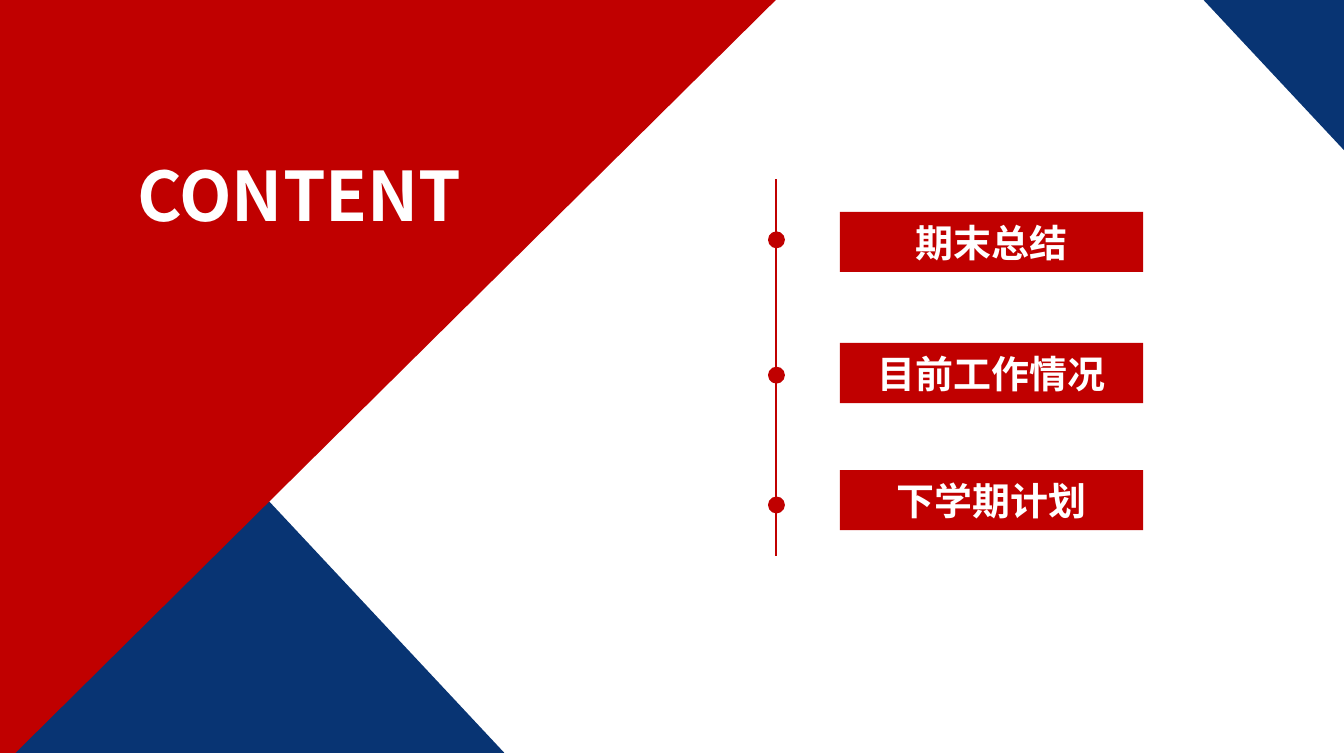
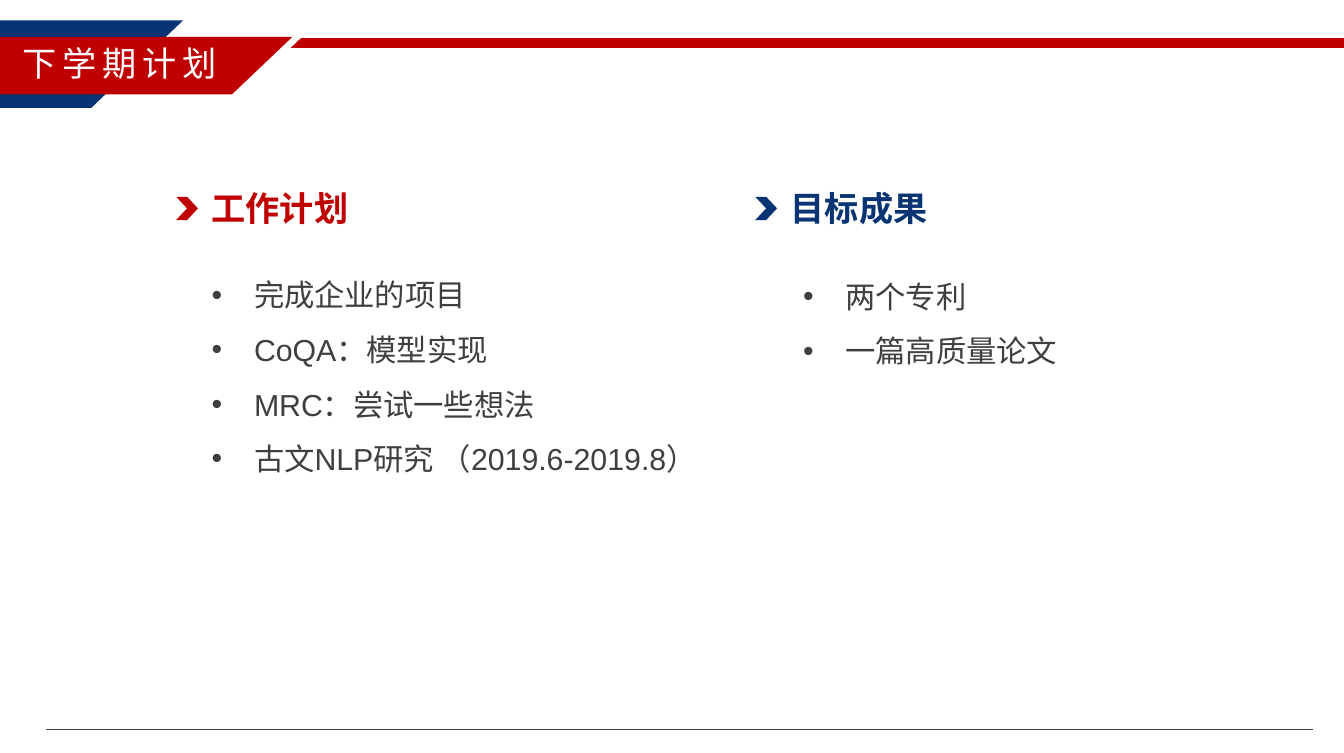
"""Build the contents slide and the next-term plan slide."""
from lxml import etree
from pptx import Presentation
from pptx.dml.color import RGBColor
from pptx.enum import shapes, text
from pptx.oxml import ns
from pptx.util import Inches, Pt

RED = RGBColor(0xC0, 0x00, 0x00)
NAVY = RGBColor(0x08, 0x34, 0x73)
WHITE = RGBColor(0xFF, 0xFF, 0xFF)
GRAY = RGBColor(0x3F, 0x40, 0x3E)
CJK_FONT = "Noto Sans CJK SC"
PLAN = "下学期计划"


def add_filled(slide, kind, box, color, rotation=0):
    shape = slide.shapes.add_shape(kind, *[Inches(value) for value in box])
    shape.shadow.inherit = False
    shape.fill.solid()
    shape.fill.fore_color.rgb = color
    shape.line.fill.background()
    shape.rotation = rotation
    return shape


def write(shape, lines, size, color, bold=False, font=CJK_FONT, align=text.PP_ALIGN.LEFT,
          anchor=text.MSO_ANCHOR.TOP, box=None):
    if box:
        shape.left, shape.top, shape.width, shape.height = [Inches(value) for value in box]
    frame = shape.text_frame
    frame.word_wrap = True
    frame.auto_size = text.MSO_AUTO_SIZE.NONE
    frame.vertical_anchor = anchor
    for index, line in enumerate(lines):
        paragraph = frame.add_paragraph() if index else frame.paragraphs[0]
        paragraph.alignment = align
        paragraph.space_before = Pt(0)
        run = paragraph.add_run()
        run.text = line
        run.font.size = Pt(size)
        run.font.bold = bold
        run.font.color.rgb = color
        run.font.name = font
        east_asian = etree.SubElement(run.font._element, ns.qn("a:ea"))
        east_asian.set("typeface", CJK_FONT)
    return frame


presentation = Presentation()
presentation.slide_width = Inches(9.84)
presentation.slide_height = Inches(5.51)
contents = presentation.slides.add_slide(presentation.slide_layouts[5])
plan = presentation.slides.add_slide(presentation.slide_layouts[4])

for slide, start, end, color, width in [
    (contents, (5.68, 1.31), (5.68, 4.07), RED, 1),
    (plan, (0.34, 5.34), (9.61, 5.34), GRAY, 0.5),
]:
    line = slide.shapes.add_connector(
        shapes.MSO_CONNECTOR.STRAIGHT, *[Inches(value) for value in start + end])
    line.line.color.rgb = color
    line.line.width = Pt(width)
    etree.SubElement(line.element.spPr, ns.qn("a:effectLst"))

for left, top, rotation, color in [
    (-3.62, 3.68, 226.9, NAVY),
    (-3.63, -1.63, 315.3, RED),
    (7.51, -3.25, 226.9, NAVY),
]:
    add_filled(contents, shapes.MSO_SHAPE.RECTANGLE, (left, top, 8.88, 5.36), color, rotation)

for label, bar_top, dot_top in [
    ("期末总结", 1.55, 1.7),
    ("目前工作情况", 2.51, 2.69),
    (PLAN, 3.44, 3.64),
]:
    dot = add_filled(contents, shapes.MSO_SHAPE.OVAL, (5.63, dot_top, 0.11, 0.11), RED)
    dot.line.color.rgb = RED
    dot.line.width = Pt(1)
    bar = add_filled(contents, shapes.MSO_SHAPE.RECTANGLE, (6.15, bar_top, 2.22, 0.44), RED)
    write(bar, [label], 20, WHITE, True, align=text.PP_ALIGN.CENTER,
          anchor=text.MSO_ANCHOR.MIDDLE)

for box, color in [
    ((-0.81, 0.15, 2.15, 0.64), NAVY),
    ((-0.81, 0.27, 2.95, 0.42), RED),
    ((2.13, 0.28, 8.17, 0.07), RED),
]:
    band = add_filled(plan, shapes.MSO_SHAPE.PARALLELOGRAM, box, color)
    band.adjustments[0] = 1.05

write(contents.shapes.title, ["CONTENT"], 36, WHITE, True, align=text.PP_ALIGN.RIGHT,
      box=(0.38, 1.07, 3.1, 0.71))
plan_title = write(plan.shapes.title, [PLAN], 18, WHITE, align=text.PP_ALIGN.CENTER,
                   box=(-1.01, 0.26, 3.77, 0.4))
plan_title.paragraphs[0].runs[0].font._element.set("spc", "300")
for slide in (contents, plan):
    title = slide.shapes.title.element
    title.getparent().append(title)

bodies = {shape.placeholder_format.idx: shape for shape in plan.placeholders}
for index, heading, color, left, list_box, items in [
    (1, "工作计划", RED, 1.29, (1.45, 1.84, 3.89, 2.12),
     ["完成企业的项目", "CoQA：模型实现", "MRC：尝试一些想法", "古文NLP研究 （2019.6-2019.8）"]),
    (3, "目标成果", NAVY, 5.53, (5.78, 1.85, 2.27, 1.31), ["两个专利", "一篇高质量论文"]),
]:
    add_filled(plan, shapes.MSO_SHAPE.CHEVRON, (left, 1.44, 0.16, 0.17), color)
    frame = write(bodies[index], [heading], 18, color, True, box=(left + 0.16, 1.32, 1.21, 0.4))
    frame.word_wrap = False
    frame = write(bodies[index + 1], items, 16, GRAY, font="Arial", box=list_box)
    frame.margin_right = Inches(0.2)
    for paragraph in frame.paragraphs:
        paragraph.line_spacing = 1.5
        properties = paragraph._p.get_or_add_pPr()
        properties.set("marL", str(Inches(0.31)))
        properties.set("indent", str(Inches(-0.31)))

presentation.save("out.pptx")
